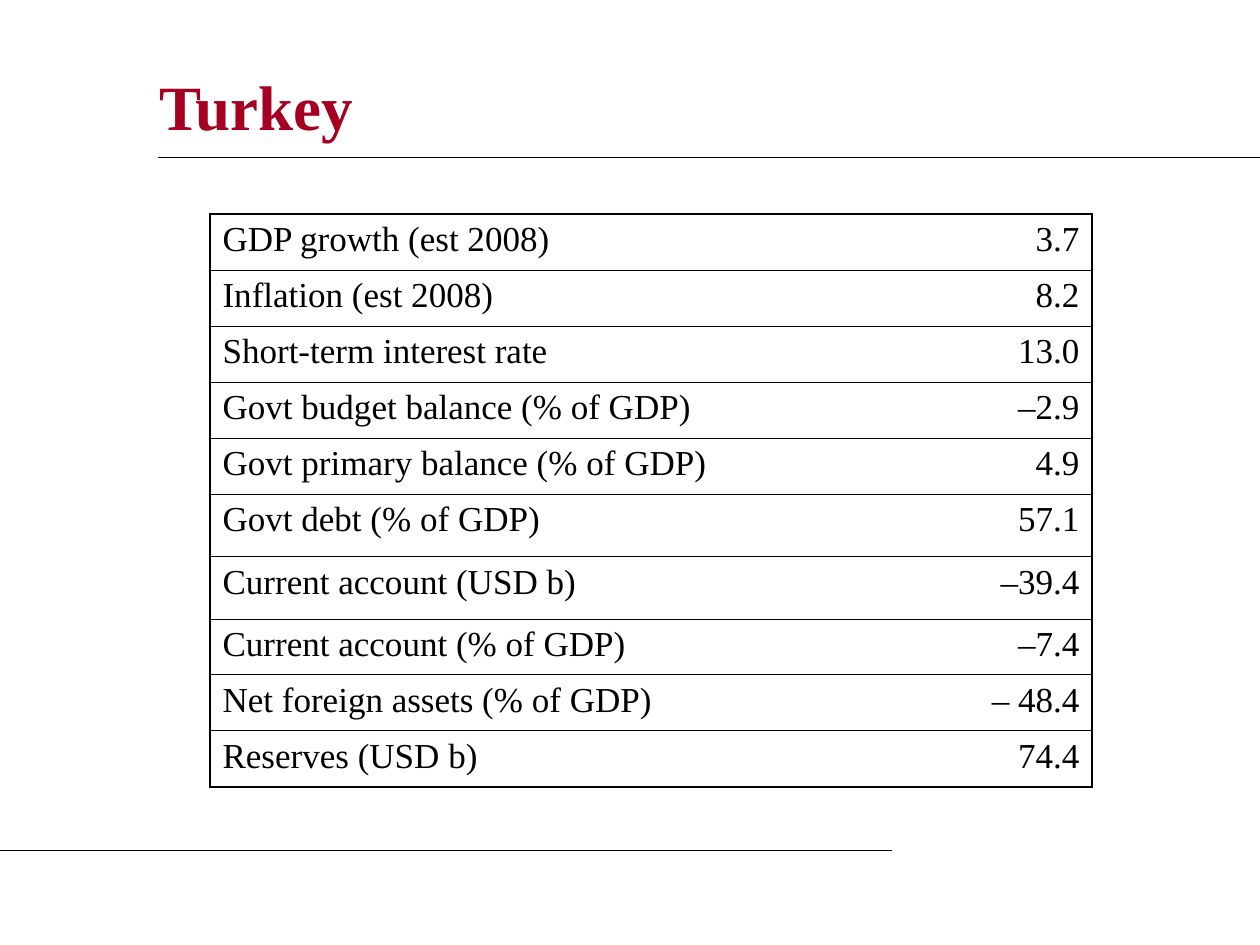
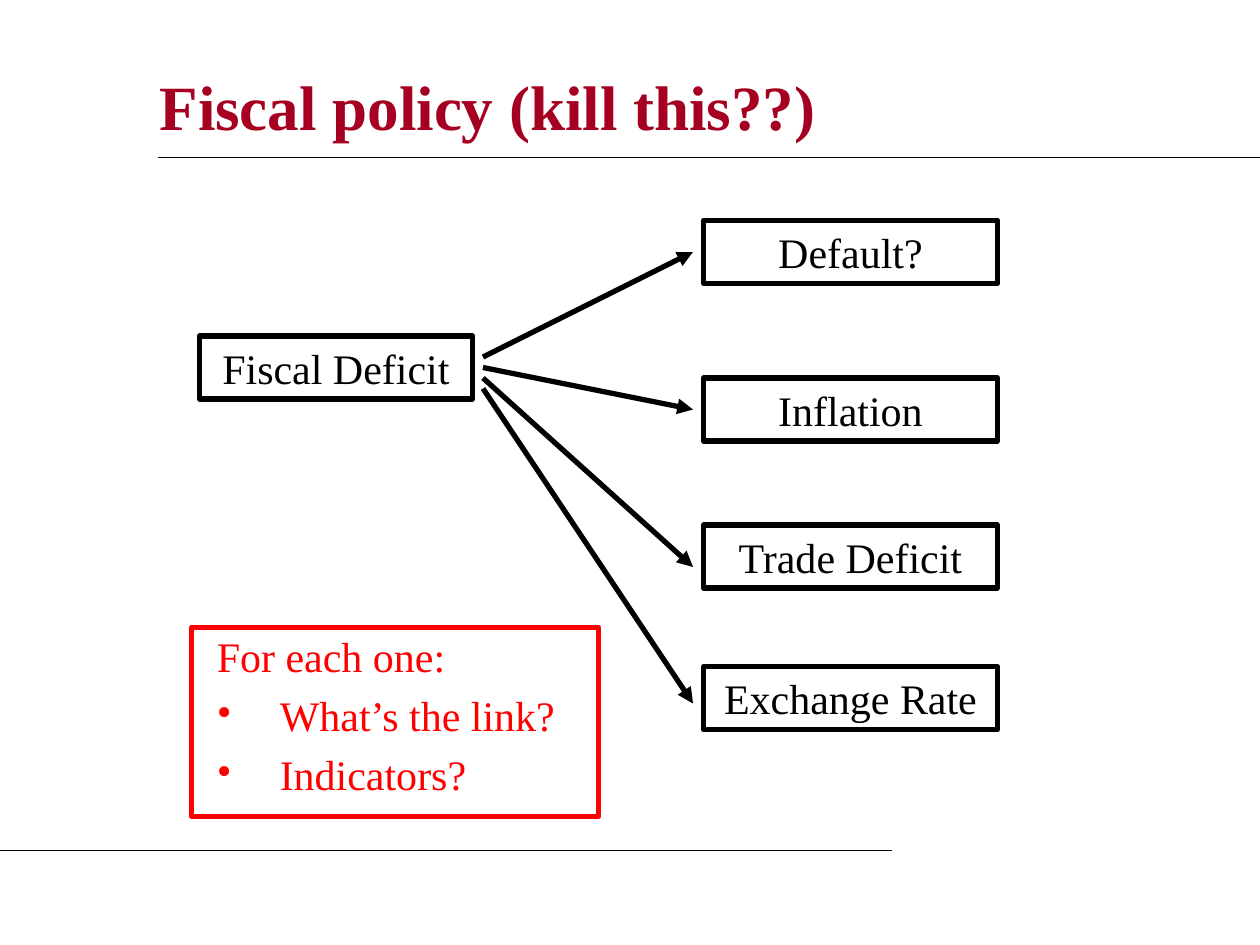
import dataclasses

import pptx
import pptx.dml.color
import pptx.enum.shapes
import pptx.enum.text
import pptx.oxml
import pptx.oxml.ns
import pptx.util
from lxml import etree


@dataclasses.dataclass(frozen=True)
class Theme:
    font: str = "Times New Roman"
    title_color: str = "A50021"
    ink: str = "000000"
    accent: str = "FF0000"
    title_size: int = 36
    box_size: int = 24
    table_size: int = 20
    thin: float = 0.75
    thick: float = 3


theme = Theme()
rgb = pptx.dml.color.RGBColor.from_string
Pt = pptx.util.Pt
align = pptx.enum.text.PP_ALIGN
anchor = pptx.enum.text.MSO_ANCHOR
qn = pptx.oxml.ns.qn

deck = pptx.Presentation()
deck.slide_width = pptx.util.Inches(10)
deck.slide_height = pptx.util.Inches(7.5)

# Grid of 120 columns by 90 rows
column = deck.slide_width / 120
row = deck.slide_height / 90


def write(frame, text, size, color=theme.ink, bold=False, alignment=align.LEFT,
          spacing=None, before=None, bullet=False, hang=0):
    """Fill the empty first paragraph, or add a further one."""
    para = frame.paragraphs[0] if not frame.text else frame.add_paragraph()
    para.alignment = alignment
    if spacing:
        para.line_spacing = spacing
    if before:
        para.space_before = Pt(before)
    if hang:
        settings = para._p.get_or_add_pPr()
        settings.set("marL", str(hang))
        settings.set("indent", str(-hang))
    if bullet:
        bullet_color = etree.SubElement(settings, qn("a:buClr"))
        etree.SubElement(bullet_color, qn("a:srgbClr"), val=color)
        etree.SubElement(settings, qn("a:buFont"), typeface=theme.font)
        etree.SubElement(settings, qn("a:buChar"), char="•")
    span = para.add_run()
    span.text = text
    span.font.name = theme.font
    span.font.size = Pt(size)
    span.font.bold = bold
    span.font.color.rgb = rgb(color)


def draw_line(page, x1, y1, x2, y2, width, arrow=False):
    line = page.shapes.add_connector(
        pptx.enum.shapes.MSO_CONNECTOR.STRAIGHT,
        int(x1 * column), int(y1 * row), int(x2 * column), int(y2 * row))
    line.line.color.rgb = rgb(theme.ink)
    line.line.width = Pt(width)
    if arrow:
        etree.SubElement(line.line._get_or_add_ln(), qn("a:tailEnd"), type="triangle")
    etree.SubElement(line._element.spPr, qn("a:effectLst"))


# Shared title and rules
pages = []
for heading in ("Turkey", "Fiscal policy (kill this??)"):
    page = deck.slides.add_slide(deck.slide_layouts[5])
    title = page.shapes.title
    title.left, title.top = int(14 * column), int(5 * row)
    title.width, title.height = int(97 * column), int(10 * row)
    title.text_frame.vertical_anchor = anchor.MIDDLE
    write(title.text_frame, heading, theme.title_size, theme.title_color, bold=True)
    draw_line(page, 15, 15, 120, 15, theme.thin)
    draw_line(page, 0, 81, 85, 81, theme.thin)
    pages.append(page)
turkey, fiscal = pages

# Turkey: table of indicators
indicators = [
    ("GDP growth (est 2008)", "3.7"),
    ("Inflation (est 2008)", "8.2"),
    ("Short-term interest rate", "13.0"),
    ("Govt budget balance (% of GDP)", "–2.9"),
    ("Govt primary balance (% of GDP)", "4.9"),
    ("Govt debt (% of GDP)", "57.1"),
    ("Current account (USD b)", "–39.4"),
    ("Current account (% of GDP)", "–7.4"),
    ("Net foreign assets (% of GDP)", "– 48.4"),
    ("Reserves (USD b)", "74.4"),
]
tall_rows = (5, 6)
last = len(indicators) - 1
outer, inner = 1.08, 0.45
table = turkey.shapes.add_table(
    len(indicators), 2, int(20 * column), int(20.4 * row),
    int(84 * column), int(54.6 * row)).table
table.first_row = False
table.horz_banding = False
table.columns[0].width = int(63 * column)
table.columns[1].width = int(21 * column)
for r, record in enumerate(indicators):
    table.rows[r].height = int((5.95 if r in tall_rows else 5.33) * row)
    for c, text in enumerate(record):
        cell = table.cell(r, c)
        cell.fill.background()
        write(cell.text_frame, text, theme.table_size,
              alignment=align.RIGHT if c else align.LEFT)
        borders = {
            "a:lnL": 0 if c else outer,
            "a:lnR": outer if c else 0,
            "a:lnT": inner if r else outer,
            "a:lnB": outer if r == last else inner,
        }
        for position, (side, width) in enumerate(borders.items()):
            border = pptx.oxml.parse_xml(
                f'<{side} {pptx.oxml.ns.nsdecls("a")} w="{int(Pt(width))}"/>')
            if width:
                fill = etree.SubElement(border, qn("a:solidFill"))
                etree.SubElement(fill, qn("a:srgbClr"), val=theme.ink)
            else:
                etree.SubElement(border, qn("a:noFill"))
            cell._tc.get_or_add_tcPr().insert(position, border)

# Fiscal policy: cause, effects and the question box
boxes = [
    ("Fiscal Deficit", 19, 32, 26, 6, theme.ink),
    ("Default?", 67, 21, 28, 6, theme.ink),
    ("Inflation", 67, 36, 28, 6, theme.ink),
    ("Trade Deficit", 67, 50, 28, 6, theme.ink),
    ("Exchange Rate", 67, 63.5, 28, 6, theme.ink),
    ("For each one:", 18.25, 59.75, 38.75, 18, theme.accent),
]
for text, left, top, width, height, color in boxes:
    box = fiscal.shapes.add_shape(
        pptx.enum.shapes.MSO_SHAPE.RECTANGLE, int(left * column), int(top * row),
        int(width * column), int(height * row))
    box.shadow.inherit = False
    box.fill.background()
    box.line.color.rgb = rgb(color)
    box.line.width = Pt(theme.thick)
    frame = box.text_frame
    frame.word_wrap = True
    frame.vertical_anchor = anchor.TOP
    if color == theme.ink:
        write(frame, text, theme.box_size, alignment=align.CENTER)
        continue
    frame.margin_left = frame.margin_right = pptx.util.Inches(0.2)
    frame.margin_top = frame.margin_bottom = pptx.util.Inches(0.15)
    hang = int(6 * column)
    write(frame, text, theme.box_size, color, spacing=0.65, hang=hang)
    for question in ("What’s the link?", "Indicators?"):
        write(frame, question, theme.box_size, color, spacing=0.65,
              before=15, bullet=True, hang=hang)

# Arrows fan out from the cause, one row apart
for step, target in enumerate((24, 39, 54, 67)):
    draw_line(fiscal, 46, 34 + step, 66, target, theme.thick, arrow=True)

deck.save("out.pptx")
